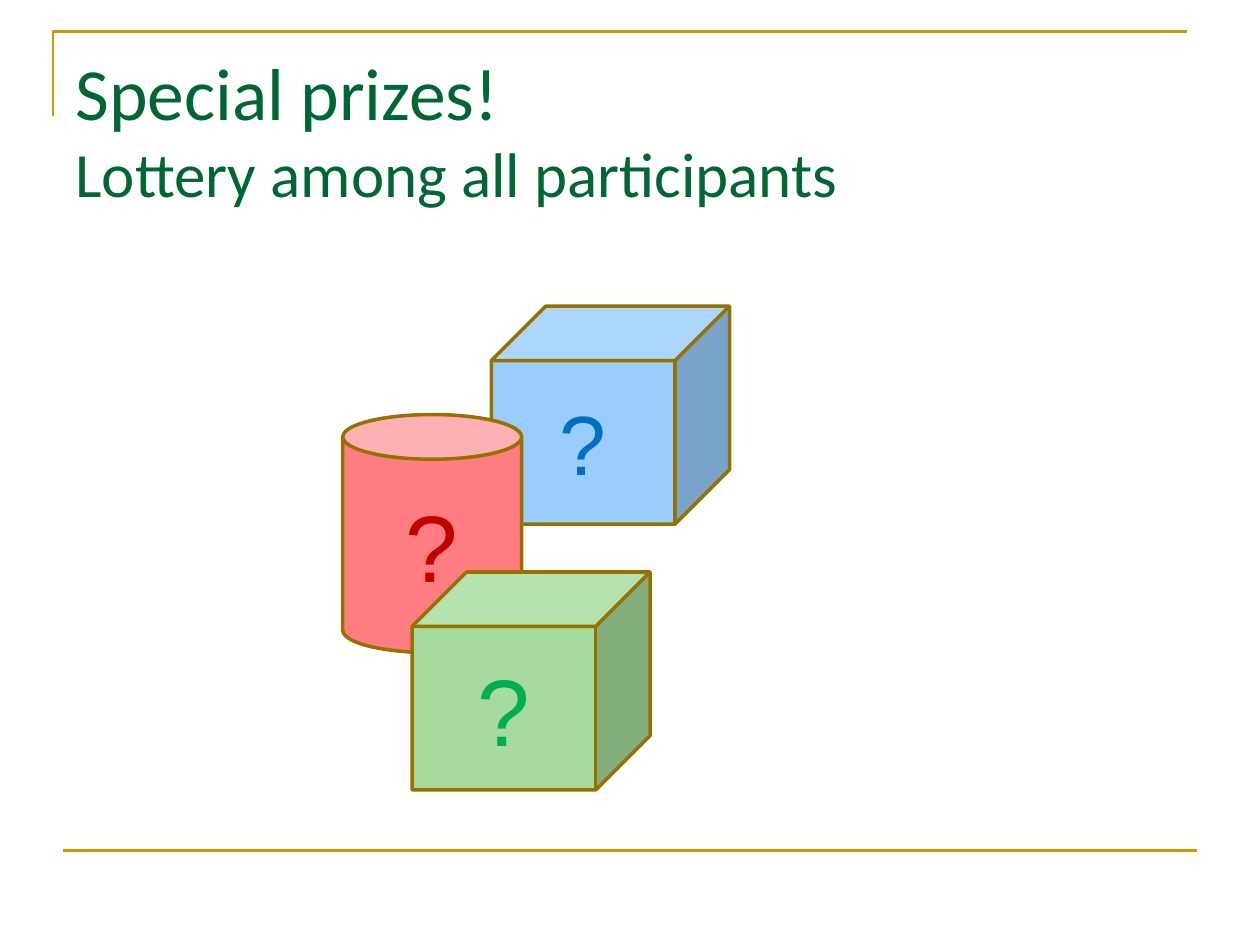
from pptx import Presentation
from pptx.dml.color import RGBColor
from pptx.enum.shapes import MSO_CONNECTOR, MSO_SHAPE
from pptx.enum.text import MSO_ANCHOR, PP_ALIGN
from pptx.oxml.ns import qn
from pptx.util import Inches, Pt
from lxml import etree

COLORS = {
    "gold": "CC9900", "outline": "977100", "title": "006633",
    "blue": "99CCFF", "red": "FF7C80", "green": "A6DB9D",
    "blue mark": "0070C0", "red mark": "C00000", "green mark": "00B050",
}


def style_line(line, color, width):
    line.color.rgb = RGBColor.from_string(COLORS[color])
    line.width = Pt(width)


def add_run(p, text, font, size, color):
    r = p.add_run()
    r.text = text
    for name, value in {"name": font, "size": Pt(size)}.items():
        setattr(r.font, name, value)
    r.font.color.rgb = RGBColor.from_string(COLORS[color])


prs = Presentation()
prs.slide_width, prs.slide_height = Inches(10), Inches(7.5)
s = prs.slides.add_slide(prs.slide_layouts[6])

# Corner frame and bottom rule
builder = s.shapes.build_freeform(Inches(0.42), Inches(0.92))
builder.add_line_segments(
    [(Inches(0.42), Inches(0.25)), (Inches(9.42), Inches(0.25))], close=False)
corner = builder.convert_to_shape()
corner.shadow.inherit = False
corner.fill.background()
style_line(corner.line, "gold", 1.5)

rule = s.shapes.add_connector(
    MSO_CONNECTOR.STRAIGHT, Inches(0.5), Inches(6.75), Inches(9.5), Inches(6.75))
style_line(rule.line, "gold", 1.5)
etree.SubElement(rule._element.spPr, qn("a:effectLst"))

# Title
title = s.shapes.add_textbox(Inches(0.5), Inches(0.32), Inches(9), Inches(1.25))
tf = title.text_frame
tf.word_wrap = True
tf.vertical_anchor = MSO_ANCHOR.TOP
p = tf.paragraphs[0]
add_run(p, "Special prizes!", "Calibri", 42, "title")
p.add_line_break()
add_run(p, "Lottery among all participants", "Calibri", 36, "title")

# Mystery prizes, from back to front
prizes = [
    (MSO_SHAPE.CUBE, 3.9, 2.43, 1.89, 1.73, "blue", 48),
    (MSO_SHAPE.CAN, 2.72, 3.29, 1.42, 1.89, "red", 54),
    (MSO_SHAPE.CUBE, 3.27, 4.54, 1.89, 1.73, "green", 54),
]
for kind, left, top, width, height, color, size in prizes:
    sp = s.shapes.add_shape(
        kind, Inches(left), Inches(top), Inches(width), Inches(height))
    sp.shadow.inherit = False
    sp.fill.solid()
    sp.fill.fore_color.rgb = RGBColor.from_string(COLORS[color])
    style_line(sp.line, "outline", 2)
    tf = sp.text_frame
    tf.vertical_anchor = MSO_ANCHOR.MIDDLE
    p = tf.paragraphs[0]
    p.alignment = PP_ALIGN.CENTER
    add_run(p, "?", "Arial", size, f"{color} mark")

prs.save("out.pptx")
